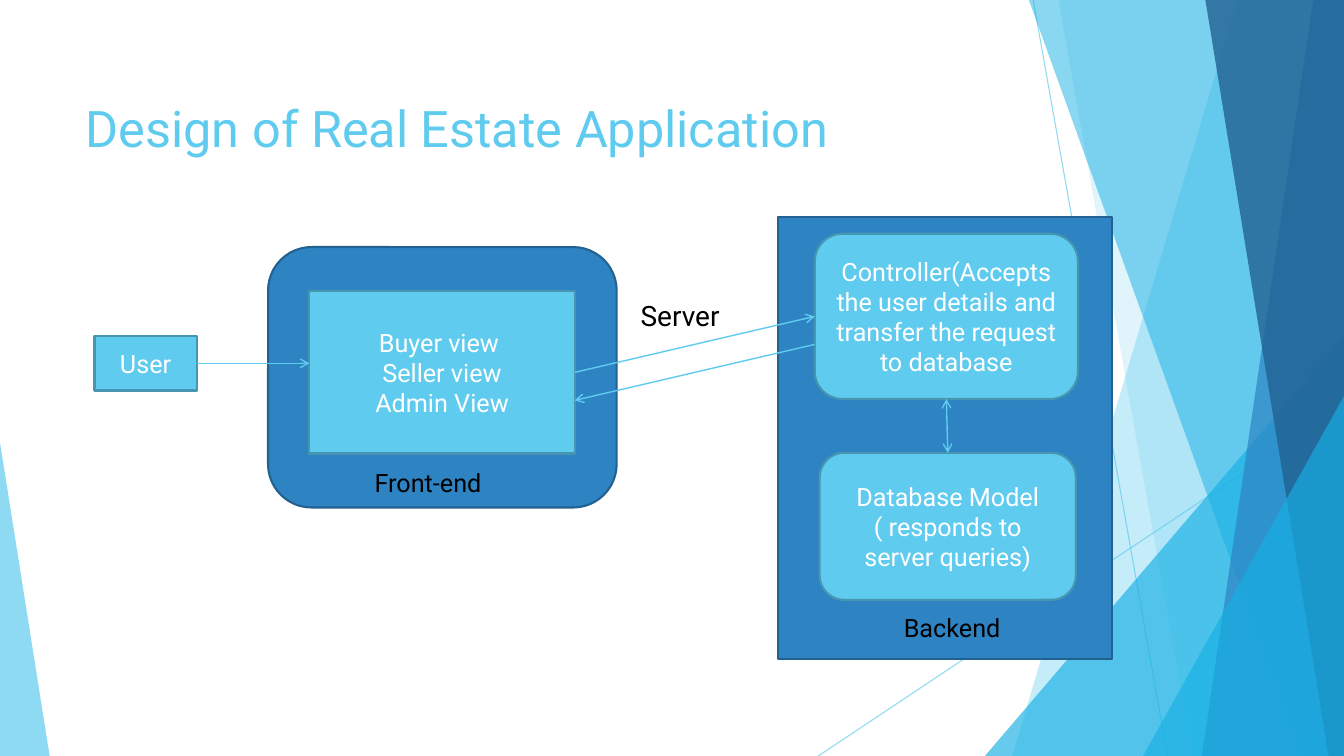
from lxml import etree
from pptx import Presentation
from pptx.dml.color import RGBColor
from pptx.enum import shapes, text
from pptx.oxml.ns import qn
from pptx.util import Pt

SKY = RGBColor(0x5F, 0xCB, 0xEF)
SKY_EDGE = RGBColor(0x46, 0x96, 0xB1)
CYAN = RGBColor(0x17, 0xB0, 0xE4)
BLUE = RGBColor(0x2E, 0x83, 0xC3)
BLUE_EDGE = RGBColor(0x22, 0x61, 0x90)
NAVY = RGBColor(0x22, 0x62, 0x92)
WHITE = RGBColor(0xFF, 0xFF, 0xFF)
BLACK = RGBColor(0, 0, 0)

FONT = "Roboto"
WIDTH, HEIGHT = 960, 540
TOP, LEFT, BOTTOM, RIGHT = range(4)
RECT = shapes.MSO_SHAPE.RECTANGLE
ROUNDED = shapes.MSO_SHAPE.ROUNDED_RECTANGLE


def set_opacity(shape, percent):
    color = shape._element.spPr.find(".//" + qn("a:srgbClr"))
    etree.SubElement(color, qn("a:alpha"), val=str(percent * 1000))


def paint_facet(facet, color, opacity):
    facet.shadow.inherit = False
    facet.fill.solid()
    facet.fill.fore_color.rgb = color
    set_opacity(facet, opacity)
    facet.line.fill.background()


def add_panel(slide, top_x, bottom_x, color, opacity):
    """Full-height panel with a slanted left edge, reaching the right edge of the slide."""
    builder = slide.shapes.build_freeform(Pt(top_x), Pt(0))
    corners = [(WIDTH, 0), (WIDTH, HEIGHT), (bottom_x, HEIGHT)]
    builder.add_line_segments([(Pt(x), Pt(y)) for x, y in corners])
    paint_facet(builder.convert_to_shape(), color, opacity)


def add_corner(slide, left, top, width, apex, color, opacity):
    """Right-angled triangle standing on the bottom edge of the slide."""
    corner = slide.shapes.add_shape(
        shapes.MSO_SHAPE.ISOSCELES_TRIANGLE,
        Pt(left), Pt(top), Pt(width), Pt(HEIGHT - top))
    corner.adjustments[0] = apex
    paint_facet(corner, color, opacity)


def add_line(slide, start, end, width=1, heads=()):
    line = slide.shapes.add_connector(
        shapes.MSO_CONNECTOR.STRAIGHT, *(Pt(value) for value in start + end))
    line.line.color.rgb = SKY
    line.line.width = Pt(width)
    for head in heads:
        etree.SubElement(line.line._get_or_add_ln(), qn(head), type="arrow")
    etree.SubElement(line._element.spPr, qn("a:effectLst"))
    return line


def add_arrow(slide, start, end, both_ways=False):
    heads = ("a:headEnd", "a:tailEnd") if both_ways else ("a:tailEnd",)
    return add_line(slide, start, end, heads=heads)


def write(frame, lines, size, color, align):
    frame.word_wrap = True
    frame.text = "\n".join(lines)
    for paragraph in frame.paragraphs:
        paragraph.alignment = align
        paragraph.font.name = FONT
        paragraph.font.size = Pt(size)
        paragraph.font.color.rgb = color


def add_box(slide, kind, bounds, fill, edge, lines=()):
    box = slide.shapes.add_shape(kind, *(Pt(value) for value in bounds))
    box.shadow.inherit = False
    box.fill.solid()
    box.fill.fore_color.rgb = fill
    box.line.color.rgb = edge
    box.line.width = Pt(1.5)
    if lines:
        box.text_frame.vertical_anchor = text.MSO_ANCHOR.MIDDLE
        write(box.text_frame, lines, 18, WHITE, text.PP_ALIGN.CENTER)
    return box


def add_label(slide, bounds, caption, size=18):
    label = slide.shapes.add_textbox(*(Pt(value) for value in bounds))
    write(label.text_frame, [caption], size, BLACK, text.PP_ALIGN.LEFT)
    label.text_frame.auto_size = text.MSO_AUTO_SIZE.SHAPE_TO_FIT_TEXT


def add_backdrop(slide):
    for start, end in [((738, 0), (834, HEIGHT)), ((WIDTH, 290), (584.5, HEIGHT))]:
        set_opacity(add_line(slide, start, end, width=0.75), 70)
    add_panel(slide, 884, 723, SKY, 36)
    add_panel(slide, 756, 852, SKY, 20)
    add_corner(slide, 703.5, 240, 256.5, 1, CYAN, 66)
    add_panel(slide, 735, 929.5, CYAN, 50)
    add_panel(slide, 938, 858.5, BLUE, 70)
    add_panel(slide, 861, 949, NAVY, 80)
    add_corner(slide, 816.5, 283, 143.5, 1, CYAN, 66)
    add_corner(slide, 0, 316, 35.5, 0, SKY, 70)


def set_title(slide, caption):
    title = slide.shapes.title
    title.left, title.top, title.width, title.height = Pt(54), Pt(65.5), Pt(677), Pt(104)
    title.text_frame.vertical_anchor = text.MSO_ANCHOR.TOP
    title.text_frame.auto_size = text.MSO_AUTO_SIZE.NONE
    write(title.text_frame, [caption], 36, SKY, text.PP_ALIGN.LEFT)


def add_diagram(slide):
    add_box(slide, ROUNDED, (191.5, 176.5, 249, 186), BLUE, BLUE_EDGE)
    views = add_box(slide, RECT, (221, 208, 189.5, 116), SKY, SKY_EDGE,
                    ["Buyer view ", "Seller view", "Admin View"])
    add_box(slide, RECT, (556, 155, 238.5, 316), BLUE, BLUE_EDGE)
    controller = add_box(
        slide, ROUNDED, (582, 167, 188, 118), SKY, SKY_EDGE,
        ["Controller(Accepts the user details and transfer the request to database"])
    database = add_box(slide, ROUNDED, (585.5, 323.5, 183, 105), SKY, SKY_EDGE,
                       ["Database Model", "( responds to server queries)"])
    user = add_box(slide, RECT, (67.5, 240, 73, 39), SKY, SKY_EDGE, ["User"])

    query = add_arrow(slide, (676, 285), (677, 323.5), both_ways=True)
    query.begin_connect(controller, BOTTOM)
    query.end_connect(database, TOP)
    visit = add_arrow(slide, (140.5, 259.5), (221, 259.5))
    visit.begin_connect(user, RIGHT)

    add_label(slide, (260.5, 330.5, 116.5, 29), "Front-end")
    add_label(slide, (450.5, 209.5, 91.5, 31.5), "Server", size=20)
    add_label(slide, (638.5, 434, 121, 29), "Backend")

    request = add_arrow(slide, (410.5, 266), (582, 226))
    request.begin_connect(views, RIGHT)
    request.end_connect(controller, LEFT)
    add_arrow(slide, (582, 246), (410.5, 286))


def main():
    deck = Presentation()
    deck.slide_width, deck.slide_height = Pt(WIDTH), Pt(HEIGHT)
    slide = deck.slides.add_slide(deck.slide_layouts.get_by_name("Title Only"))
    add_backdrop(slide)
    set_title(slide, "Design of Real Estate Application")
    add_diagram(slide)
    deck.save("out.pptx")


if __name__ == "__main__":
    main()
